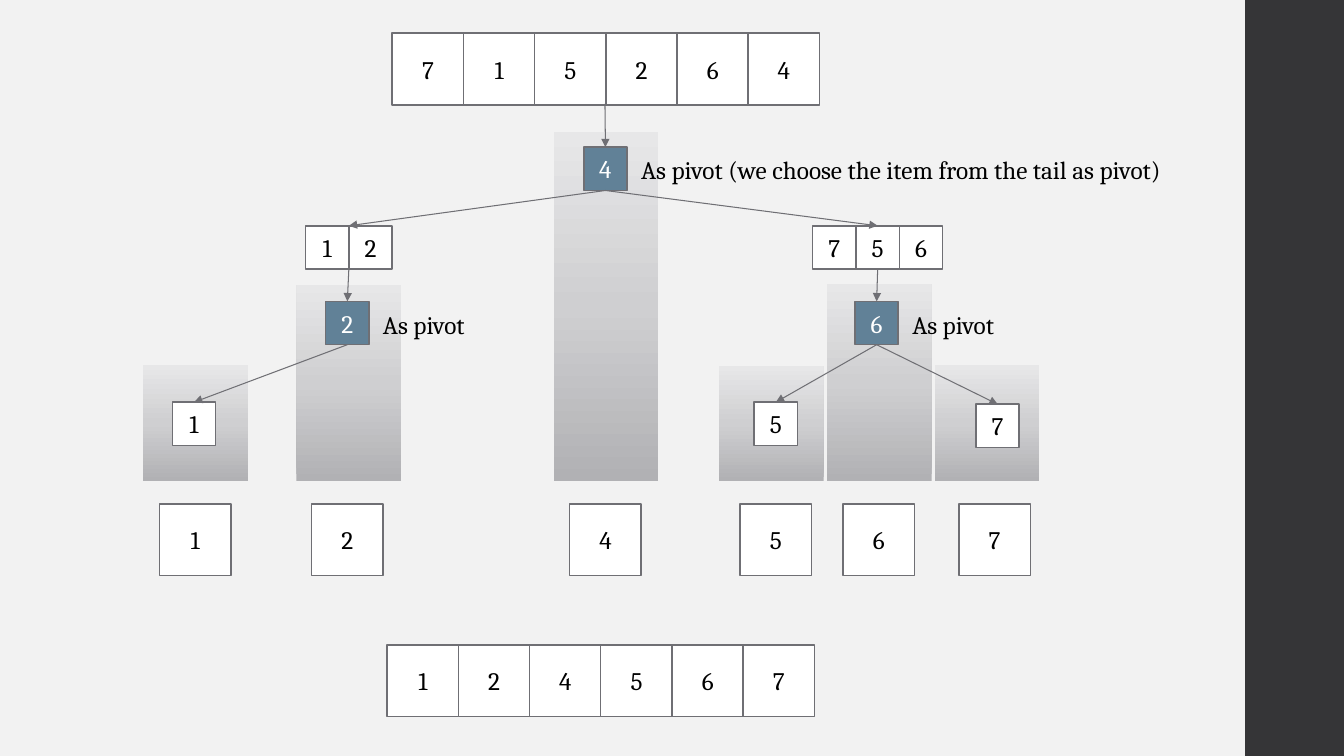
from copy import deepcopy

from lxml import etree
from pptx import Presentation
from pptx.dml.color import RGBColor
from pptx.enum.shapes import MSO_CONNECTOR, MSO_SHAPE
from pptx.enum.text import MSO_ANCHOR, MSO_AUTO_SIZE, PP_ALIGN
from pptx.oxml.ns import qn
from pptx.util import Inches, Pt

RECTANGLE = MSO_SHAPE.RECTANGLE
STRAIGHT = MSO_CONNECTOR.STRAIGHT
MIDDLE = MSO_ANCHOR.MIDDLE
CENTER = PP_ALIGN.CENTER
GROW = MSO_AUTO_SIZE.SHAPE_TO_FIT_TEXT
TOP, BOTTOM = 0, 2

COLORS = {
    "background": "F2F2F2",
    "sidebar": "353537",
    "cell": "FFFFFF",
    "pivot": "618197",
    "line": "6F6F74",
    "text": "000000",
    "pivot_text": "FFFFFF",
}
COLUMN_STOPS = [(0, "B1B1B4"), (0.5, "CFCFD1"), (1, "E7E7E8")]
FONT = "Cambria"
LARGE, SMALL = 0.71, 0.43
LARGE_PITCH = 3.53 / 5
COLUMN_WIDTH, COLUMN_BOTTOM = 1.04, 4.77

COLUMNS = [(8.2, 2.82), (9.27, 3.62), (1.42, 3.62), (2.94, 2.83), (5.49, 1.31), (7.13, 3.63)]
RESULTS = [("1", 1.58), ("2", 3.09), ("4", 5.65), ("5", 7.34), ("6", 8.36), ("7", 9.51)]


def color(name):
    return RGBColor.from_string(COLORS[name])


def add_rectangle(page, left, top, width, height):
    box = page.shapes.add_shape(
        RECTANGLE, Inches(left), Inches(top), Inches(width), Inches(height)
    )
    box.shadow.inherit = False
    box.line.fill.background()
    return box


def add_sidebar(page):
    box = add_rectangle(page, 12.35, 0, 1, 7.5)
    box.fill.solid()
    box.fill.fore_color.rgb = color("sidebar")


def add_column(page, left, top):
    box = add_rectangle(page, left, top, COLUMN_WIDTH, COLUMN_BOTTOM - top)
    box.fill.gradient()
    box.fill.gradient_angle = 90
    stop_list = next(box.element.iter(qn("a:gsLst")))
    stop_list.insert(1, deepcopy(stop_list[0]))
    for stop, (position, shade) in zip(box.fill.gradient_stops, COLUMN_STOPS):
        stop.position = position
        stop.color.rgb = RGBColor.from_string(shade)


def write(para, text, color_name):
    span = para.add_run()
    span.text = text
    span.font.name = FONT
    span.font.size = Pt(18)
    span.font.color.rgb = color(color_name)


def add_cell(page, text, left, top, size, fill="cell", text_color="text"):
    box = add_rectangle(page, left, top, size, size)
    box.fill.solid()
    box.fill.fore_color.rgb = color(fill)
    box.line.color.rgb = color("line")
    box.line.width = Pt(1.1)
    box.text_frame.vertical_anchor = MIDDLE
    para = box.text_frame.paragraphs[0]
    para.alignment = CENTER
    write(para, text, text_color)
    return box


def add_row(page, digits, left, top, size, pitch):
    return [
        add_cell(page, digit, left + index * pitch, top, size)
        for index, digit in enumerate(digits)
    ]


def add_pivot(page, digit, left, top, label, label_left, label_top, label_width):
    pivot = add_cell(page, digit, left, top, SMALL, "pivot", "pivot_text")
    box = page.shapes.add_textbox(
        Inches(label_left), Inches(label_top), Inches(label_width), Inches(0.4)
    )
    box.text_frame.word_wrap = False
    box.text_frame.auto_size = GROW
    write(box.text_frame.paragraphs[0], label, "text")
    return pivot


def add_arrow(page, start, end, start_box=None, end_box=None):
    arrow = page.shapes.add_connector(
        STRAIGHT, Inches(start[0]), Inches(start[1]), Inches(end[0]), Inches(end[1])
    )
    if start_box is not None:
        arrow.begin_connect(start_box, BOTTOM)
    if end_box is not None:
        arrow.end_connect(end_box, TOP)
    arrow.line.color.rgb = color("line")
    arrow.line.width = Pt(0.75)
    outline = arrow.line._get_or_add_ln()
    etree.SubElement(outline, qn("a:tailEnd"), type="triangle")
    etree.SubElement(arrow.element.spPr, qn("a:effectLst"))


def main():
    deck = Presentation()
    deck.slide_width = Inches(13.33)
    deck.slide_height = Inches(7.5)
    page = deck.slides.add_slide(deck.slide_layouts[6])
    page.background.fill.solid()
    page.background.fill.fore_color.rgb = color("background")

    add_sidebar(page)
    for left, top in COLUMNS:
        add_column(page, left, top)

    add_row(page, "715264", 3.89, 0.33, LARGE, LARGE_PITCH)
    four = add_pivot(
        page, "4", 5.79, 1.46,
        "As pivot (we choose the item from the tail as pivot)", 6.26, 1.48, 6.11,
    )
    add_row(page, "12", 3.03, 2.24, SMALL, SMALL)
    upper_cells = add_row(page, "756", 8.06, 2.24, SMALL, SMALL)
    two = add_pivot(page, "2", 3.23, 2.99, "As pivot", 3.7, 3.02, 1.16)
    six = add_pivot(page, "6", 8.48, 2.99, "As pivot", 8.95, 3.02, 1.16)
    one = add_cell(page, "1", 1.71, 3.99, SMALL)
    five = add_cell(page, "5", 7.48, 3.99, SMALL)
    seven = add_cell(page, "7", 9.68, 4.01, SMALL)

    add_arrow(page, (6, 1.03), (6, 1.46), end_box=four)
    add_arrow(page, (6, 1.89), (3.46, 2.24), start_box=four)
    add_arrow(page, (6, 1.89), (8.71, 2.24), four, upper_cells[1])
    add_arrow(page, (3.46, 2.67), (3.46, 2.99), end_box=two)
    add_arrow(page, (8.71, 2.67), (8.71, 2.99), upper_cells[1], six)
    add_arrow(page, (3.44, 3.42), (1.92, 3.99), two, one)
    add_arrow(page, (8.69, 3.42), (7.7, 3.99), six, five)
    add_arrow(page, (8.69, 3.42), (9.89, 4.01), six, seven)

    for digit, left in RESULTS:
        add_cell(page, digit, left, 5, LARGE)
    add_row(page, "124567", 3.84, 6.4, LARGE, LARGE_PITCH)

    deck.save("out.pptx")


if __name__ == "__main__":
    main()
